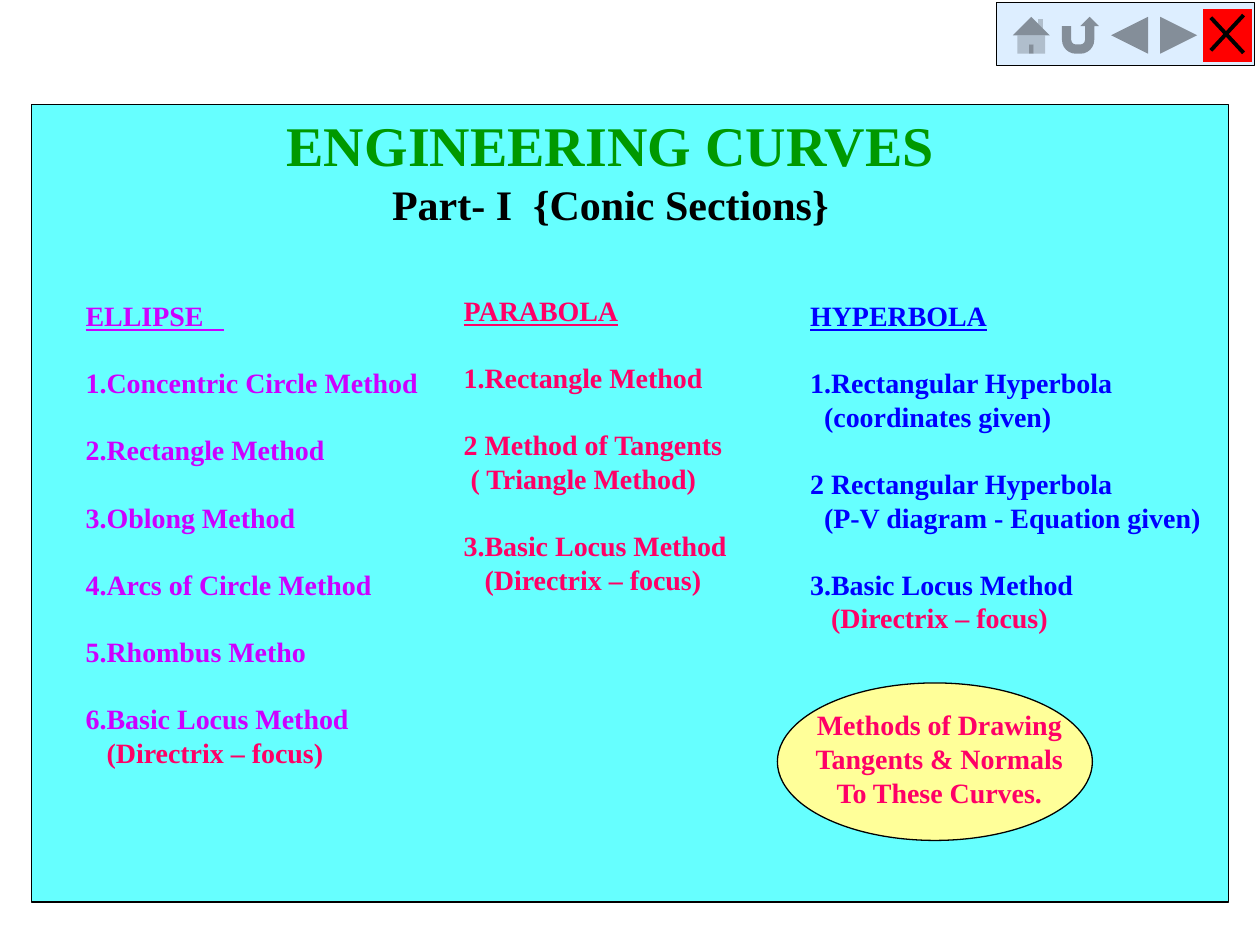
from lxml.etree import SubElement
from pptx import Presentation
from pptx.dml.color import RGBColor
from pptx.enum.shapes import MSO_CONNECTOR, MSO_SHAPE
from pptx.enum.text import MSO_ANCHOR, MSO_AUTO_SIZE, PP_ALIGN
from pptx.oxml.ns import qn
from pptx.util import Inches, Pt

COLORS = {
    "panel": "66FFFF", "title": "009900", "black": "000000",
    "ellipse": "CC00FF", "parabola": "FF0066", "hyperbola": "0000FF",
    "oval": "FFFF99", "bar": "DDEEFF", "close": "FF0000",
}
FONT = "Times New Roman"
LINE_HEIGHT = 1.2
TEXT_SIZE = 16
SPACE_WIDTH = TEXT_SIZE / 4

# Each item is a list of lines: (text, indent in spaces, colour or None for the column's).
FOCUS = ("(Directrix – focus)", 3, "parabola")
# Placeholder index, box, colour, heading, items.
CURVES = [
    (1, (0.58, 2.32, 2.85, 3.84), "ellipse", "ELLIPSE   ", [
        [("1.Concentric Circle Method", 0, None)],
        [("2.Rectangle Method", 0, None)],
        [("3.Oblong Method", 0, None)],
        [("4.Arcs of Circle Method", 0, None)],
        [("5.Rhombus Metho", 0, None)],
        [("6.Basic Locus Method", 0, None), FOCUS],
    ]),
    (2, (3.58, 2.28, 2.3, 2.51), "parabola", "PARABOLA", [
        [("1.Rectangle Method", 0, None)],
        [("2 Method of Tangents", 0, None), ("( Triangle Method)", 1, None)],
        [("3.Basic Locus Method", 0, None), FOCUS],
    ]),
    (4, (6.33, 2.32, 3.32, 2.77), "hyperbola", "HYPERBOLA", [
        [("1.Rectangular Hyperbola", 0, None), ("(coordinates given)", 2, None)],
        [("2 Rectangular Hyperbola", 0, None),
         ("(P-V diagram - Equation given)", 2, None)],
        [("3.Basic Locus Method", 0, None), FOCUS],
    ]),
]
BUTTONS = [
    (MSO_SHAPE.ACTION_BUTTON_HOME, "bar"),
    (MSO_SHAPE.ACTION_BUTTON_RETURN, "bar"),
    (MSO_SHAPE.ACTION_BUTTON_BACK_OR_PREVIOUS, "bar"),
    (MSO_SHAPE.ACTION_BUTTON_FORWARD_OR_NEXT, "bar"),
    (MSO_SHAPE.ACTION_BUTTON_CUSTOM, "close"),
]


def color(name):
    return RGBColor.from_string(COLORS[name])


def place(shape, box):
    shape.left, shape.top, shape.width, shape.height = map(Inches, box)


def add_filled_shape(shapes, kind, box, fill, line_width=None):
    shape = shapes.add_shape(kind, *map(Inches, box))
    shape.shadow.inherit = False
    shape.fill.solid()
    shape.fill.fore_color.rgb = color(fill)
    if line_width:
        shape.line.color.rgb = color("black")
        shape.line.width = Pt(line_width)
    else:
        shape.line.fill.background()
    return shape


def add_line(shapes, start, end):
    line = shapes.add_connector(MSO_CONNECTOR.STRAIGHT, *map(Inches, start + end))
    line.line.color.rgb = color("black")
    line.line.width = Pt(2.25)
    SubElement(line.element.spPr, qn("a:effectLst"))


def prepare_frame(shape):
    frame = shape.text_frame
    frame.word_wrap = True
    frame.auto_size = MSO_AUTO_SIZE.NONE
    frame.vertical_anchor = MSO_ANCHOR.TOP
    return frame


def write_line(frame, text, fill, size=TEXT_SIZE, align=PP_ALIGN.LEFT,
               indent=0, gap=0, underline=False):
    """Fill the first paragraph of an empty frame, or append one."""
    first = frame.paragraphs[0]
    paragraph = frame.add_paragraph() if first.runs else first
    properties = paragraph._p.get_or_add_pPr()
    properties.set("marL", str(Pt(indent * SPACE_WIDTH)))
    properties.set("indent", "0")
    SubElement(properties, qn("a:buNone"))
    paragraph.alignment = align
    paragraph.line_spacing = Pt(size * LINE_HEIGHT)
    paragraph.space_before = Pt(gap)
    paragraph.space_after = Pt(0)
    run = paragraph.add_run()
    run.text = text
    run.font.name = FONT
    run.font.size = Pt(size)
    run.font.bold = True
    run.font.underline = underline
    run.font.color.rgb = color(fill)


def add_panel(slide):
    panel = add_filled_shape(slide.shapes, MSO_SHAPE.RECTANGLE,
                             (0.25, 0.83, 9.5, 6.33), "panel", 0.75)
    panel.element.getparent().insert(2, panel.element)  # behind the placeholders


def write_title(slide):
    place(slide.shapes.title, (2.17, 0.83, 5.35, 1.03))
    frame = prepare_frame(slide.shapes.title)
    write_line(frame, "ENGINEERING CURVES", "title", 32, PP_ALIGN.CENTER)
    write_line(frame, "Part- I  {Conic Sections}", "black", 24, PP_ALIGN.CENTER)


def write_curve(placeholder, box, fill, heading, items):
    place(placeholder, box)
    frame = prepare_frame(placeholder)
    write_line(frame, heading, fill, underline=True)
    for item in items:
        for number, (text, indent, own_fill) in enumerate(item):
            gap = 0 if number else TEXT_SIZE * LINE_HEIGHT
            write_line(frame, text, own_fill or fill, indent=indent, gap=gap)


def add_methods_oval(slide):
    group = slide.shapes.add_group_shape()
    add_filled_shape(group.shapes, MSO_SHAPE.OVAL, (6.17, 5.42, 2.5, 1.25), "oval", 0.75)
    label = group.shapes.add_textbox(*map(Inches, (6.36, 5.57, 2.19, 0.9)))
    frame = prepare_frame(label)
    for text in ("Methods of Drawing", "Tangents & Normals", "To These Curves."):
        write_line(frame, text, "parabola", align=PP_ALIGN.CENTER)


def add_navigation_bar(slide):
    shapes = slide.shapes.add_group_shape().shapes
    add_filled_shape(shapes, MSO_SHAPE.ACTION_BUTTON_CUSTOM, (7.91, 0.02, 2.05, 0.5), "bar", 0.5)
    width = 0.39
    for column, (kind, fill) in enumerate(BUTTONS):
        add_filled_shape(shapes, kind, (7.99 + column * width, 0.07, width, 0.42), fill)
    add_line(shapes, (9.61, 0.14), (9.87, 0.42))
    add_line(shapes, (9.87, 0.12), (9.61, 0.4))


def main():
    presentation = Presentation()
    presentation.slide_width, presentation.slide_height = Inches(10), Inches(7.5)
    comparison_layout = presentation.slide_layouts[4]
    slide = presentation.slides.add_slide(comparison_layout)
    placeholders = {shape.placeholder_format.idx: shape for shape in slide.placeholders}
    add_panel(slide)
    write_title(slide)
    for index, *curve in CURVES:
        write_curve(placeholders[index], *curve)
    unused = placeholders[3].element
    unused.getparent().remove(unused)
    add_methods_oval(slide)
    add_navigation_bar(slide)
    presentation.save("out.pptx")


if __name__ == "__main__":
    main()
